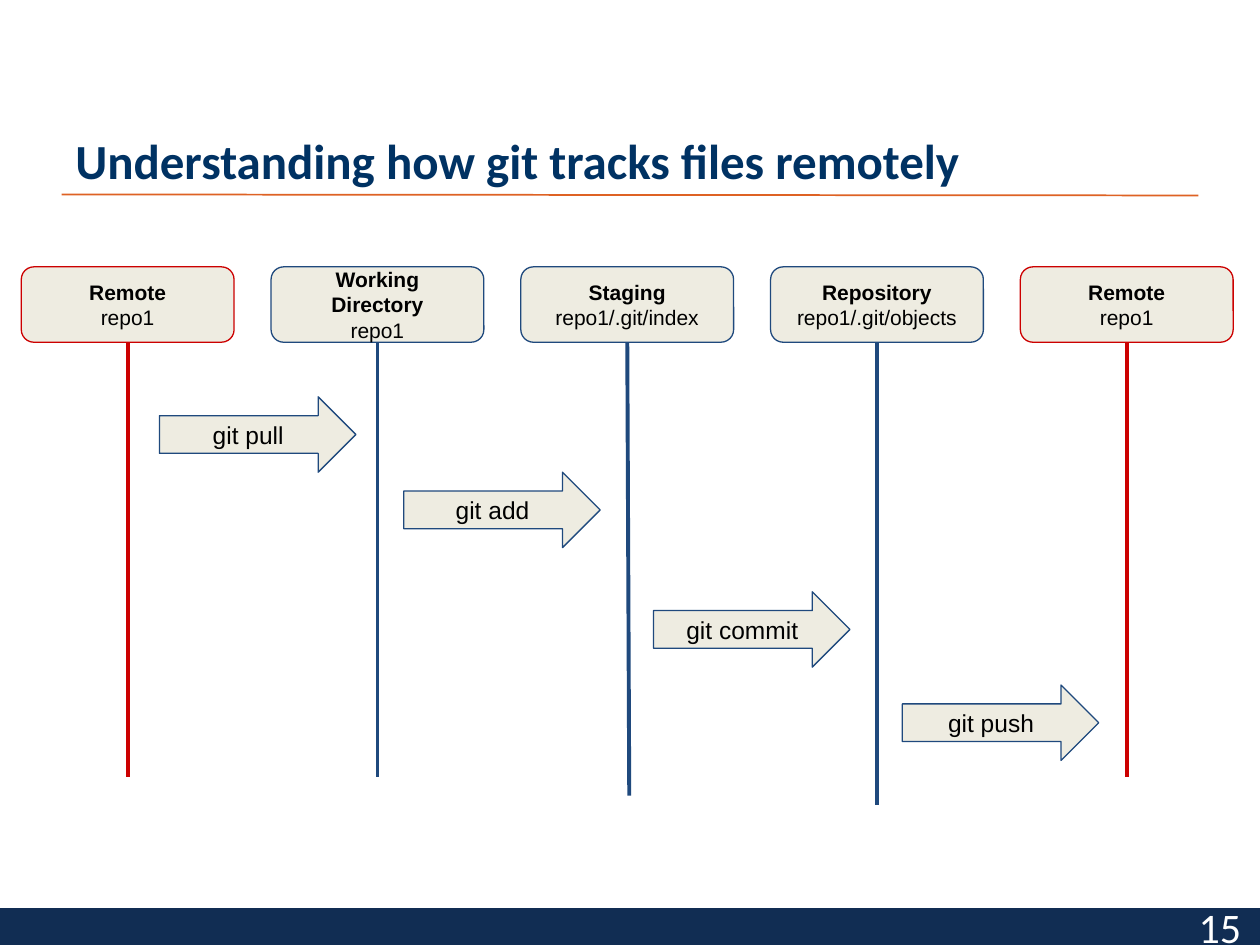
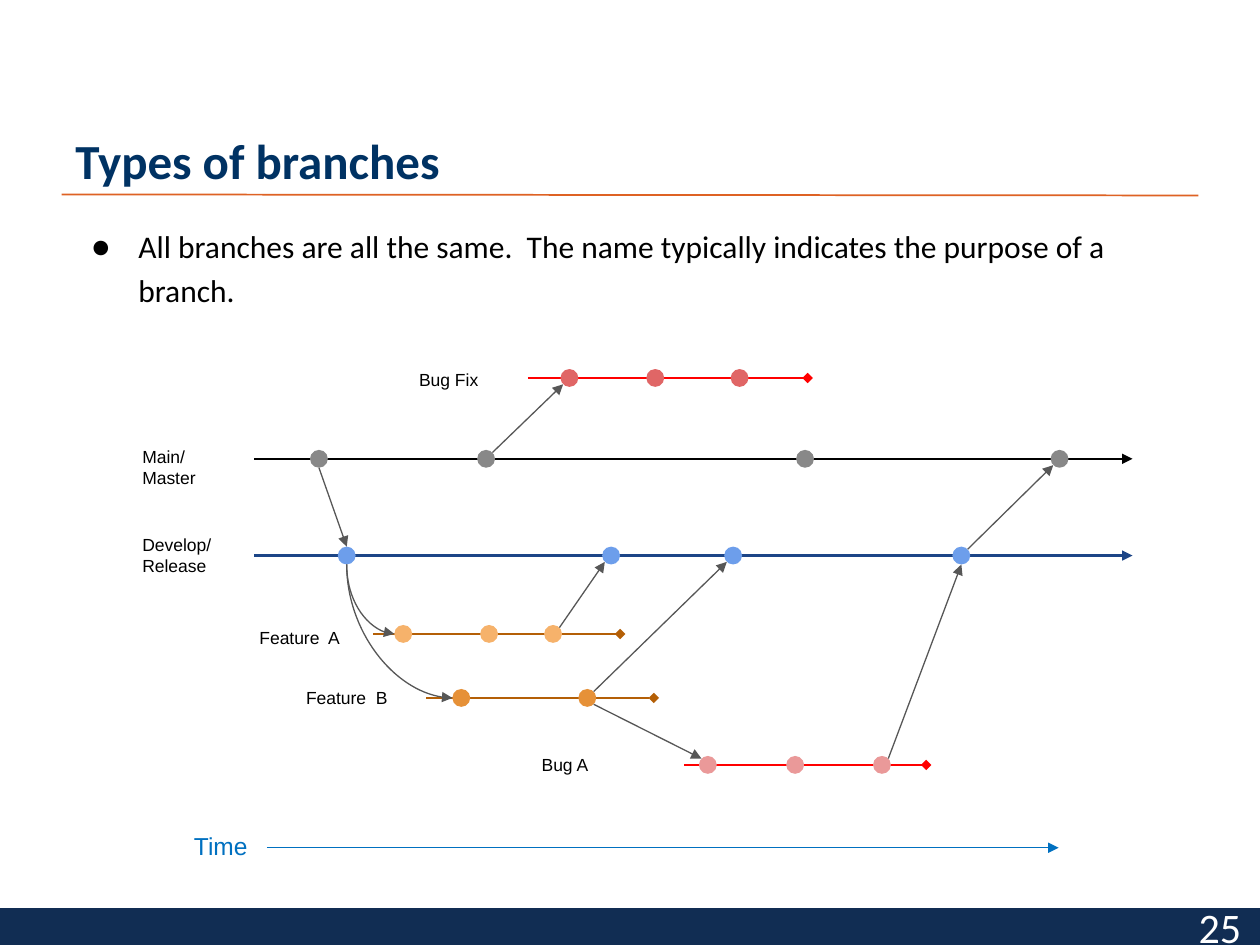
from dataclasses import dataclass
from math import cos, radians, sin

from lxml.etree import SubElement
from pptx import Presentation
from pptx.dml.color import RGBColor
from pptx.enum.shapes import MSO_CONNECTOR as Link, MSO_SHAPE as Preset
from pptx.enum.text import MSO_ANCHOR as Anchor, MSO_AUTO_SIZE as Fit, PP_ALIGN as Align
from pptx.oxml.ns import qn
from pptx.util import Cm, Pt


@dataclass(frozen=True)
class Theme:
    heading_font: str = "Calibri"
    label_font: str = "Arial"
    title: str = "003263"
    rule: str = "DE6224"
    band: str = "112D53"
    white: str = "FFFFFF"
    ink: str = "000000"
    card: str = "EEECE1"
    local: str = "1F497D"
    remote: str = "CC0000"
    time: str = "0070C0"
    link: str = "575757"
    title_size: int = 28
    number_size: int = 24
    body_size: int = 18
    command_size: int = 14
    card_size: int = 12
    label_size: int = 10


@dataclass(frozen=True)
class Box:
    """An area in centimetres."""
    left: float
    top: float
    width: float
    height: float

    def inside(self, left, top, width, height):
        return Box(self.left + left, self.top + top, width, height)

    def point(self, x, y):
        return self.left + x, self.top + y

    def lengths(self):
        return Cm(self.left), Cm(self.top), Cm(self.width), Cm(self.height)


@dataclass(frozen=True)
class Branch:
    label: str
    label_at: tuple  # left, top, width
    y: float
    start: float
    end: float
    line: str
    dot: str
    commits: tuple
    head: str = "diamond"


THEME = Theme()
TITLE = Box(1.27, 0.76, 19.3, 3.18)
BODY = Box(1.27, 4.34, 22.86, 12.57)
BAND = Box(0, 18.31, 25.45, 0.74)
NUMBER = Box(19.56, 18.31, 5.71, 0.74)
LIFELINES = Box(0.43, 5.38, 24.43, 10.84)
BRANCHES = Box(2.62, 7.19, 20.21, 10.44)

CARD_WIDTH, CARD_HEIGHT = 4.29, 1.52
ARROW_WIDTH, ARROW_HEIGHT = 3.96, 1.52
DOT = 0.36

# Heading, folder, colour, line length, sideways drift of the line
STAGES = [
    ("Remote", "repo1", THEME.remote, 8.76, 0),
    ("Working Directory", "repo1", THEME.local, 8.76, 0),
    ("Staging", "repo1/.git/index", THEME.local, 9.14, 0.04),
    ("Repository", "repo1/.git/objects", THEME.local, 9.32, 0),
    ("Remote", "repo1", THEME.remote, 8.76, 0),
]
# Command, distance right of its lifeline, top
COMMANDS = [("git pull", 0.64, 2.62), ("git add", 0.53, 4.14),
            ("git commit", 0.53, 6.55), ("git push", 0.51, 8.43)]

HISTORY = {
    "fix": Branch("Bug Fix", (5.58, 0, 2.16), 0.43, 8.02, 13.66,
                  "FF0000", "E06666", (8.86, 10.59, 12.29)),
    "main": Branch("Main/\nMaster", (0, 1.55, 3.3), 2.06, 2.51, 20.21,
                   "000000", "888888", (3.81, 7.18, 13.61, 18.74), "triangle"),
    "develop": Branch("Develop/\nRelease", (0, 3.33, 3.3), 4.01, 2.51, 20.21,
                      "1C4587", "6D9EEB", (4.37, 9.7, 12.16, 16.76), "triangle"),
    "a": Branch("Feature  A", (2.36, 5.21, 2.16), 5.59, 4.9, 9.88,
                "B45F06", "F6B26B", (5.51, 7.24, 8.53)),
    "b": Branch("Feature  B", (3.3, 6.4, 2.16), 6.88, 5.97, 10.56,
                "B45F06", "E69138", (6.68, 9.22)),
    "bug": Branch("Bug A", (8.05, 7.77, 1.83), 8.23, 11.17, 16.05,
                  "FF0000", "EA9999", (11.65, 13.41, 15.16)),
}
# Each end is a branch, a commit index and an angle on its dot (clockwise from right)
RIGHT, LOWER_RIGHT, BOTTOM, LOWER_LEFT, LEFT, UPPER_LEFT, TOP, UPPER_RIGHT = range(0, 360, 45)
MERGES = [
    (("main", 1, UPPER_RIGHT), ("fix", 0, LOWER_LEFT)),
    (("main", 0, BOTTOM), ("develop", 0, TOP)),
    (("a", 2, UPPER_RIGHT), ("develop", 1, LOWER_LEFT)),
    (("b", 1, UPPER_RIGHT), ("develop", 2, LOWER_LEFT)),
    (("b", 1, LOWER_RIGHT), ("bug", 0, UPPER_LEFT)),
    (("bug", 2, UPPER_RIGHT), ("develop", 3, BOTTOM)),
    (("develop", 3, UPPER_RIGHT), ("main", 3, LOWER_LEFT)),
]
FORKS = [(("develop", 0, BOTTOM), (name, 0, LEFT)) for name in ("a", "b")]


def color(code):
    return RGBColor.from_string(code)


def format_para(para, font, size, code, bold=False, align=Align.LEFT):
    para.alignment = align
    for span in para.runs:
        span.font.name, span.font.size, span.font.bold = font, Pt(size), bold
        span.font.color.rgb = color(code)


def set_frame(frame, anchor, side=0.25, edge=0.25):
    frame.word_wrap = True
    frame.auto_size = Fit.NONE
    frame.vertical_anchor = anchor
    frame.margin_left = frame.margin_right = Cm(side)
    frame.margin_top = frame.margin_bottom = Cm(edge)


def add_text(page, box, text, size, code, font=THEME.label_font,
             anchor=Anchor.TOP, align=Align.LEFT, edge=0.25):
    frame = page.shapes.add_textbox(*box.lengths()).text_frame
    set_frame(frame, anchor, edge=edge)
    frame.text = text
    for para in frame.paragraphs:
        format_para(para, font, size, code, align=align)


def add_preset(page, preset, box, fill, outline=None):
    shape = page.shapes.add_shape(preset, *box.lengths())
    shape.shadow.inherit = False
    shape.fill.solid()
    shape.fill.fore_color.rgb = color(fill)
    if outline:
        shape.line.color.rgb = color(outline)
        shape.line.width = Pt(0.75)
    else:
        shape.line.fill.background()
    return shape


def add_line(page, start, end, code, width, head=None, kind=Link.STRAIGHT):
    line = page.shapes.add_connector(kind, *(Cm(value) for value in (*start, *end)))
    line.line.color.rgb = color(code)
    line.line.width = Pt(width)
    if head:
        SubElement(line.element.find(".//" + qn("a:ln")), qn("a:tailEnd"), type=head)
    SubElement(line.element.find(qn("p:spPr")), qn("a:effectLst"))
    return line


def add_curve(page, start, end, code, width, head):
    """A quarter bend that leaves downwards and arrives from the left."""
    middle_x, middle_y = (start[0] + end[0]) / 2, (start[1] + end[1]) / 2
    half_x, half_y = (end[0] - start[0]) / 2, (end[1] - start[1]) / 2
    curve = add_line(page, (middle_x - half_y, middle_y - half_x),
                     (middle_x + half_y, middle_y + half_x), code, width, head, Link.CURVE)
    curve.element.find(".//" + qn("a:prstGeom")).set("prst", "curvedConnector2")
    frame = curve.element.find(".//" + qn("a:xfrm"))
    frame.set("rot", str(270 * 60000))
    frame.set("flipH", "1")


def dress_master(deck, page):
    """Build the title rule and footer band, and hand them to the master."""
    parts = [add_line(page, (1.24, 3.92), (24.16, 3.94), THEME.rule, 1),
             add_preset(page, Preset.RECTANGLE, BAND, THEME.band)]
    for number, part in enumerate(parts, 101):
        part.element.find(".//" + qn("p:cNvPr")).set("id", str(number))
        deck.slide_master.shapes.element.append(part.element)


def place(shape, box):
    shape.left, shape.top, shape.width, shape.height = box.lengths()


def add_page(deck, layout, title, number):
    page = deck.slides.add_slide(deck.slide_layouts.get_by_name(layout))
    heading = page.shapes.title
    place(heading, TITLE)
    set_frame(heading.text_frame, Anchor.BOTTOM, edge=0.13)
    heading.text_frame.text = title
    format_para(heading.text_frame.paragraphs[0], THEME.heading_font,
                THEME.title_size, THEME.title, bold=True)
    add_text(page, NUMBER, str(number), THEME.number_size, THEME.white,
             THEME.heading_font, Anchor.MIDDLE, Align.RIGHT, edge=0.13)
    return page


def fill_body(page, box, text):
    body = page.placeholders[1]
    place(body, box)
    set_frame(body.text_frame, Anchor.TOP, edge=0.13)
    body.text_frame.text = text
    para = body.text_frame.paragraphs[0]
    format_para(para, THEME.heading_font, THEME.body_size, THEME.ink)
    para.line_spacing, para.space_before = 1.15, Pt(10)
    settings = para.runs[0].font and para.runs[0].text and body.element.find(".//" + qn("a:pPr"))
    settings.set("marL", str(Cm(1.27)))
    settings.set("indent", str(Cm(-0.95)))
    bullet_color = SubElement(settings, qn("a:buClr"))
    SubElement(bullet_color, qn("a:srgbClr"), val=THEME.ink)
    SubElement(settings, qn("a:buFont"), typeface=THEME.heading_font)
    SubElement(settings, qn("a:buChar"), char="●")


def draw_lifelines(page, box):
    step = (box.width - CARD_WIDTH) / (len(STAGES) - 1)

    # Cards with their vertical lines
    for index, (heading, folder, code, length, drift) in enumerate(STAGES):
        area = box.inside(index * step, 0, CARD_WIDTH, CARD_HEIGHT)
        card = add_preset(page, Preset.ROUNDED_RECTANGLE, area, THEME.card, code)
        set_frame(card.text_frame, Anchor.MIDDLE)
        card.text_frame.text = f"{heading}\n{folder}"
        for para, bold in zip(card.text_frame.paragraphs, (True, False)):
            format_para(para, THEME.label_font, THEME.card_size, THEME.ink, bold, Align.CENTER)
        start = area.point(CARD_WIDTH / 2, CARD_HEIGHT)
        end = start[0] + drift, start[1] + length
        add_line(page, start, end, code, 2.25).begin_connect(card, 2)

    # Commands between neighbouring lines
    for index, (command, offset, top) in enumerate(COMMANDS):
        left = index * step + CARD_WIDTH / 2 + offset
        area = box.inside(left, top, ARROW_WIDTH, ARROW_HEIGHT)
        arrow = add_preset(page, Preset.RIGHT_ARROW, area, THEME.card, THEME.local)
        set_frame(arrow.text_frame, Anchor.MIDDLE)
        arrow.text_frame.text = command
        format_para(arrow.text_frame.paragraphs[0], THEME.label_font,
                    THEME.command_size, THEME.ink, align=Align.CENTER)


def dot_edge(box, end):
    name, index, angle = end
    branch = HISTORY[name]
    return box.point(branch.commits[index] + DOT / 2 * cos(radians(angle)),
                     branch.y + DOT / 2 * sin(radians(angle)))


def draw_branches(page, box):
    # Time axis
    add_text(page, box.inside(1.04, 9.32, 1.7, 1.12), "Time", THEME.command_size, THEME.time)
    add_line(page, box.point(2.76, 9.9), box.point(18.72, 9.9), THEME.time, 0.75, "triangle")

    # Branch lines, commits and labels
    for branch in HISTORY.values():
        add_line(page, box.point(branch.start, branch.y), box.point(branch.end, branch.y),
                 branch.line, 1.5, branch.head)
        for x in branch.commits:
            add_preset(page, Preset.OVAL,
                       box.inside(x - DOT / 2, branch.y - DOT / 2, DOT, DOT), branch.dot)
        height = 0.51 + 0.43 * len(branch.label.split("\n"))
        add_text(page, box.inside(*branch.label_at, height), branch.label,
                 THEME.label_size, THEME.ink)

    # Links between commits
    for draw, links in ((add_line, MERGES), (add_curve, FORKS)):
        for start, end in links:
            draw(page, dot_edge(box, start), dot_edge(box, end), THEME.link, 0.75, "triangle")


def main():
    deck = Presentation()
    deck.slide_width, deck.slide_height = Cm(25.4), Cm(19.05)

    tracking = add_page(deck, "Title Only", "Understanding how git tracks files remotely", 15)
    dress_master(deck, tracking)
    draw_lifelines(tracking, LIFELINES)

    branching = add_page(deck, "Title and Content", "Types of branches", 25)
    fill_body(branching, BODY, "All branches are all the same.  The name typically "
                               "indicates the purpose of a branch.")
    draw_branches(branching, BRANCHES)

    deck.save("out.pptx")


if __name__ == "__main__":
    main()
